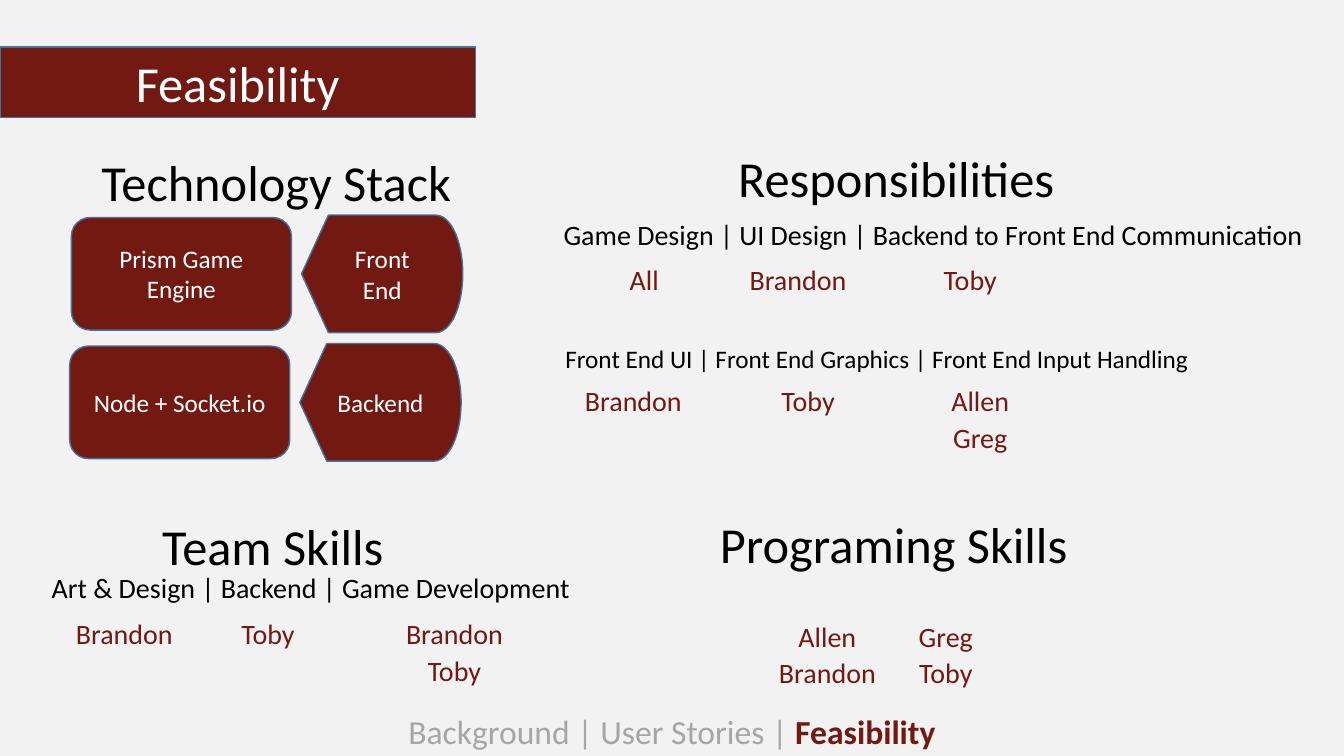
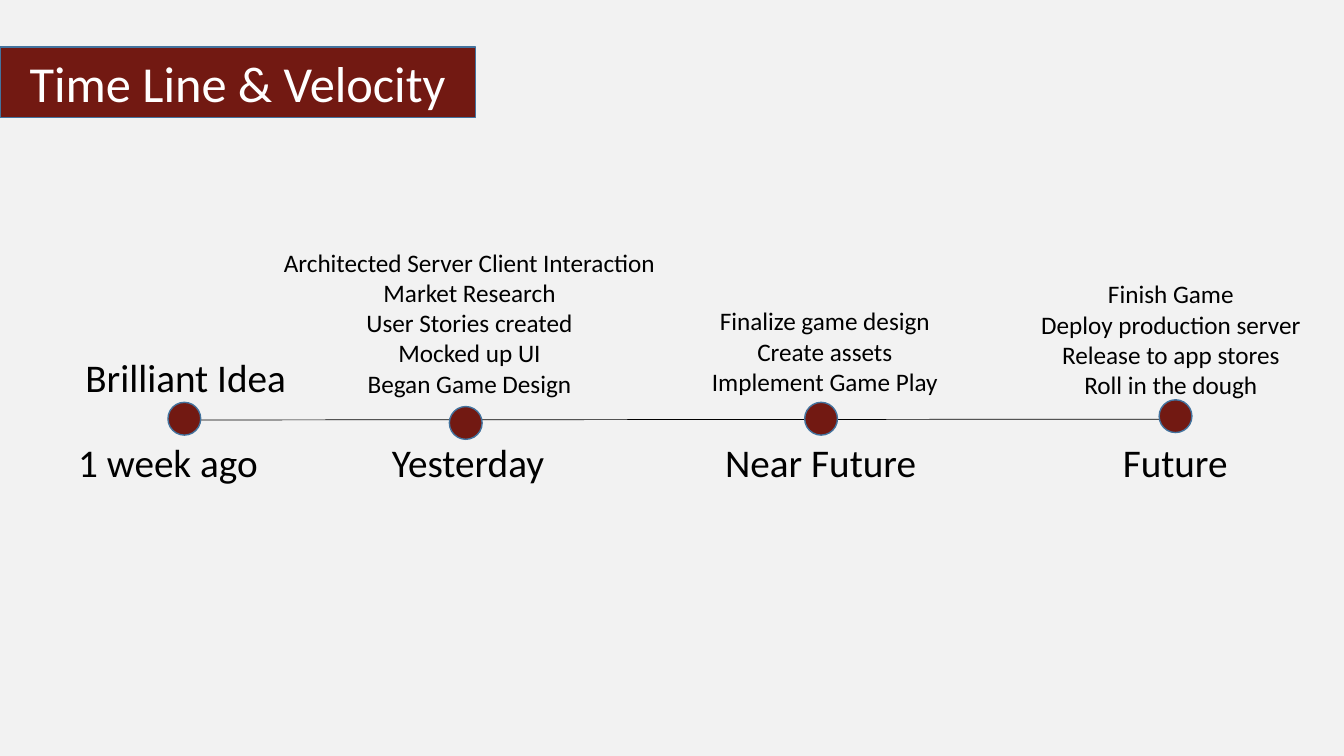
from lxml.etree import SubElement
from pptx import Presentation
from pptx.dml.color import RGBColor
from pptx.enum.shapes import MSO_CONNECTOR, MSO_SHAPE
from pptx.enum.text import MSO_ANCHOR, MSO_AUTO_SIZE, PP_ALIGN
from pptx.oxml.ns import qn
from pptx.util import Inches, Pt

rgb = RGBColor.from_string
MAROON, EDGE, PAPER = "721912", "43739E", "F2F2F2"
BLACK, WHITE, GREY = "000000", "FFFFFF", "A6A6A6"
FONT = "Calibri"

# The slide is a grid of 16 columns by 9 rows of square cells.
CELL = Inches(7.5) // 9

prs = Presentation()
prs.slide_width, prs.slide_height = 16 * CELL, 9 * CELL
prs.slide_master.background.fill.solid()
prs.slide_master.background.fill.fore_color.rgb = rgb(PAPER)


def put(s, kind, x, y, w, h, lines=(), size=18, color=WHITE):
    """Place a maroon shape, the "title" or a "text" box, in grid cells."""
    box = [int(v * CELL) for v in (x, y, w, h)]
    if kind == "text":
        sp = s.shapes.add_textbox(*box)
    elif kind == "title":
        sp = s.shapes.title
        sp.left, sp.top, sp.width, sp.height = box
    else:
        sp = s.shapes.add_shape(kind, *box)
        sp.shadow.inherit = False
    if kind != "text":
        sp.fill.solid()
        sp.fill.fore_color.rgb = rgb(MAROON)
        sp.line.color.rgb = rgb(EDGE)
        sp.line.width = Pt(1)
    tf = sp.text_frame
    tf.auto_size = MSO_AUTO_SIZE.NONE
    tf.word_wrap = kind != "text"
    tf.vertical_anchor = MSO_ANCHOR.TOP if kind == "text" else MSO_ANCHOR.MIDDLE
    for i, line in enumerate(lines):
        p = tf.add_paragraph() if i else tf.paragraphs[0]
        p.alignment = PP_ALIGN.CENTER
        r = p.add_run()
        r.text = line
        r.font.name, r.font.size = FONT, Pt(size)
        r.font.color.rgb = rgb(color)
    return sp


def label(s, cx, y, w, lines, size, color=BLACK):
    """Add text centred on column cx, as high as its lines need."""
    h = 0.02 * size * len(lines) + 0.12
    return put(s, "text", cx - w / 2, y, w, h, lines, size, color)


slides = []
for title in ("Feasibility", "Time Line & Velocity"):
    s = prs.slides.add_slide(prs.slide_layouts[5])
    put(s, "title", 0, 0.56, 5.66, 0.84, [title], 36)
    slides.append(s)
feasibility, timeline = slides

# Feasibility: technology stack
s = feasibility
stack = [("Prism Game Engine", "Front End"), ("Node + Socket.io", "Backend")]
for i, (tool, layer) in enumerate(stack):
    x, y = 0.85 - 0.02 * i, 2.59 + 1.53 * i
    put(s, MSO_SHAPE.ROUNDED_RECTANGLE, x, y, 2.62, 1.34, [tool])
    put(s, MSO_SHAPE.FLOWCHART_DISPLAY, x + 2.74, y - 0.03, 1.92, 1.4, [layer])

# Feasibility: headings and topics as centre, top, width, text, size
for cx, y, w, text, size in [
    (3.29, 1.74, 4.44, "Technology Stack", 36),
    (3.25, 6.07, 2.9, "Team Skills", 36),
    (3.7, 6.73, 6.47, "Art & Design | Backend | Game Development", 20),
    (10.64, 6.05, 4.42, "Programing Skills", 36),
    (10.67, 1.69, 4.18, "Responsibilities", 36),
    (11.11, 2.53, 9.12,
     "Game Design | UI Design | Backend to Front End Communication", 20),
    (10.44, 4.03, 7.78,
     "Front End UI | Front End Graphics | Front End Input Handling", 18),
]:
    label(s, cx, y, w, [text], size)

# Feasibility: people under each topic, stacked by column
name_width = {"All": 0.59, "Allen": 0.94, "Brandon": 1.4, "Greg": 0.9, "Toby": 0.88}
for y, columns in [
    (7.28, [(1.48, ["Brandon"]), (3.19, ["Toby"]), (5.41, ["Brandon", "Toby"])]),
    (7.31, [(9.85, ["Allen", "Brandon"]), (11.26, ["Greg", "Toby"])]),
    (3.07, [(7.67, ["All"]), (9.5, ["Brandon"]), (11.55, ["Toby"])]),
    (4.51, [(7.54, ["Brandon"]), (9.62, ["Toby"]), (11.67, ["Allen", "Greg"])]),
]:
    for cx, names in columns:
        for i, name in enumerate(names):
            label(s, cx, y + 0.44 * i, name_width[name], [name], 20, MAROON)

footer = label(s, 8, 8.4, 16, ["Background | User Stories | "], 24, GREY)
r = footer.text_frame.paragraphs[0].add_run()
r.text = "Feasibility"
r.font.name, r.font.size, r.font.bold = FONT, Pt(24), True
r.font.color.rgb = rgb(MAROON)

# Time line: axis, then dot, date and notes of each milestone
s = timeline
axis = s.shapes.add_connector(
    MSO_CONNECTOR.STRAIGHT, 2 * CELL, 5 * CELL, 14 * CELL, int(4.99 * CELL))
axis.line.color.rgb = rgb(BLACK)
axis.line.width = Pt(0.5)
SubElement(axis._element.spPr, qn("a:effectLst"))

for dot_x, dot_y, date_cx, date_w, date, notes_cx, notes_y, notes_w, size, notes in [
    (2, 4.79, 2, 2.4, "1 week ago", 2.21, 4.15, 2.66, 28, ["Brilliant Idea"]),
    (5.35, 4.84, 5.57, 2.08, "Yesterday", 5.59, 2.88, 4.94, 18,
     ["Architected Server Client Interaction", "Market Research",
      "User Stories created", "Mocked up UI", "Began Game Design"]),
    (9.58, 4.79, 9.77, 2.54, "Near Future", 9.82, 3.58, 4.94, 18,
     ["Finalize game design", "Create assets", "Implement Game Play"]),
    (13.8, 4.76, 13.99, 1.5, "Future", 13.94, 3.26, 4.08, 18,
     ["Finish Game", "Deploy production server", "Release to app stores",
      "Roll in the dough"]),
]:
    put(s, MSO_SHAPE.OVAL, dot_x, dot_y, 0.39, 0.39)
    label(s, date_cx, 5.16, date_w, [date], 28)
    label(s, notes_cx, notes_y, notes_w, notes, size)

prs.save("out.pptx")
